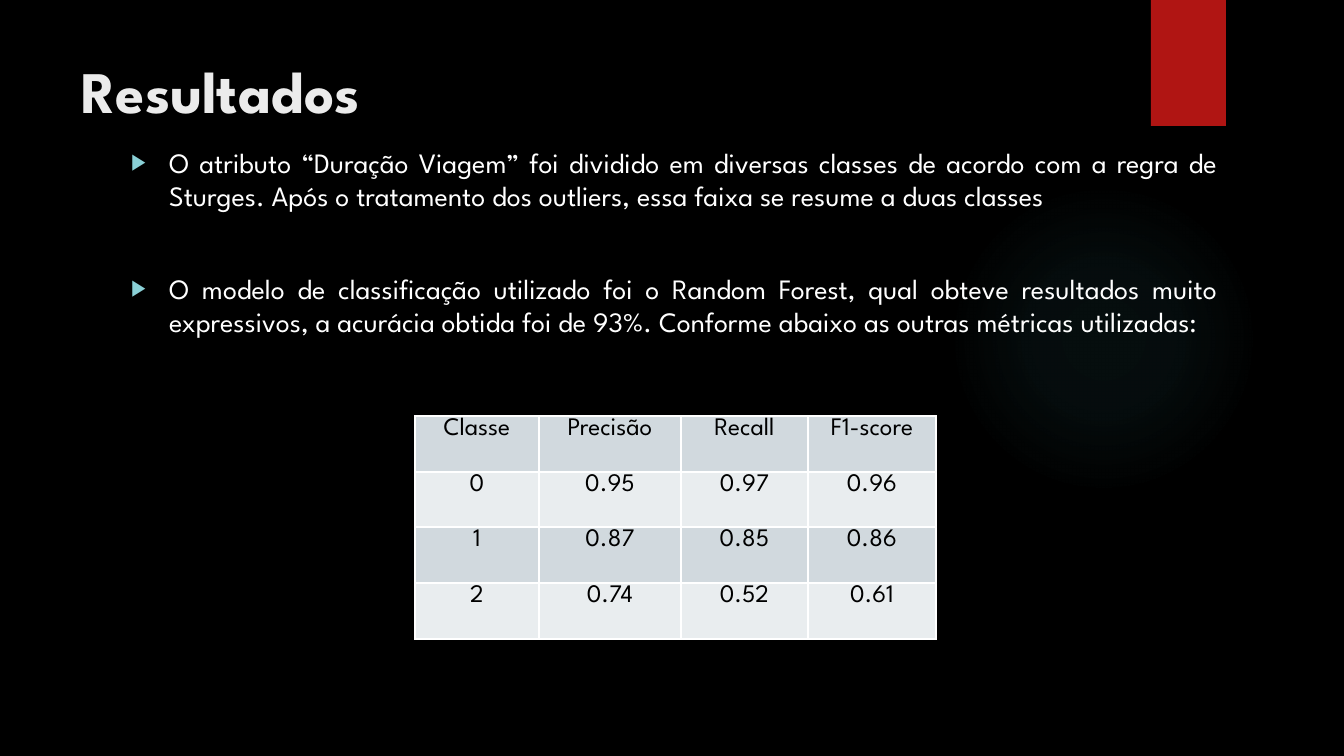
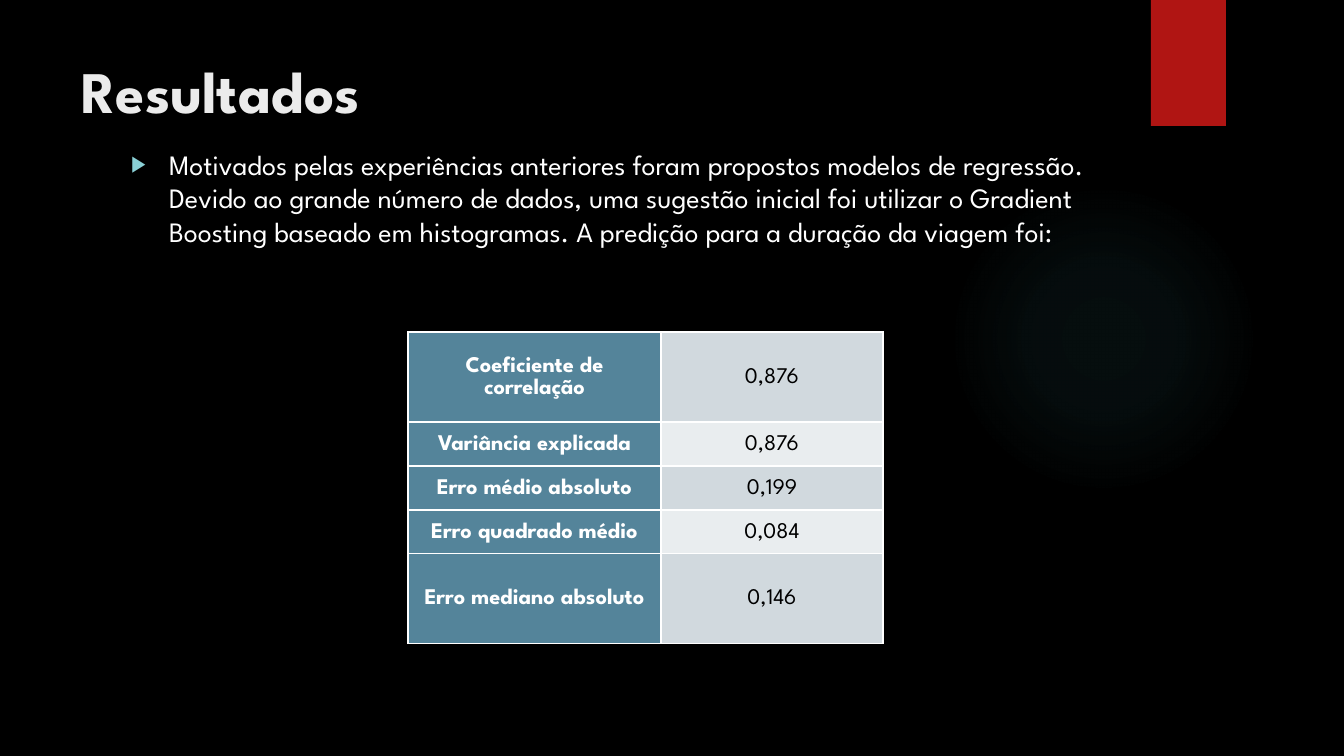
from pptx import Presentation
from pptx import util as u
from pptx.dml import color
from pptx.enum import shapes, text
from pptx.oxml import parse_xml
from pptx.oxml import ns

SCALE = 914400 / 100.8
FONT = "League Spartan"
BLACK, WHITE, TITLE = "000000", "FFFFFF", "EBEBEB"
RED, GLOW, BULLET = "B01513", "50B9C1", "8AD0D6"
HEADER, BANDS = "54849A", ("D1D9DE", "E9EDEF")


def px(value):
    return u.Emu(round(value * SCALE))


def rgb(value):
    return color.RGBColor.from_string(value)


def xml(tag, attributes="", content=""):
    return parse_xml(f"<a:{tag} {ns.nsdecls('a')} {attributes}>{content}</a:{tag}>")


def tint(value, opacity):
    return f'<a:srgbClr val="{value}"><a:alpha val="{opacity * 1000}"/></a:srgbClr>'


class Deck:
    def __init__(self):
        self.deck = Presentation()
        self.deck.slide_width, self.deck.slide_height = px(1344), px(756)
        self.layout = self.deck.slide_layouts[1]
        self.layout.background.fill.solid()
        self.layout.background.fill.fore_color.rgb = rgb(BLACK)
        self.page = None

    def add_page(self):
        self.page = self.deck.slides.add_slide(self.layout)

    def shared_shape(self, kind, left, top, width, height, fill):
        box = self.page.shapes.add_shape(kind, px(left), px(top), px(width), px(height))
        box.shadow.inherit = False
        box.fill.solid()
        box.fill.fore_color.rgb = rgb(fill)
        box.line.fill.background()
        self.layout.shapes.element.append(box.element)
        return box.element.spPr

    def glow(self, left, top, size):
        frame = self.shared_shape(shapes.MSO_SHAPE.OVAL, left, top, size, size, GLOW)
        stops = "".join(
            f'<a:gs pos="{place * 1000}">{tint(GLOW, opacity)}</a:gs>'
            for place, opacity in ((0, 7), (36, 6), (69, 0))
        )
        focus = '<a:fillToRect l="50000" t="50000" r="50000" b="50000"/>'
        gradient = xml("gradFill", 'rotWithShape="1"',
                       f'<a:gsLst>{stops}</a:gsLst><a:path path="circle">{focus}</a:path>')
        frame.replace(frame.find(ns.qn("a:solidFill")), gradient)

    def ribbon(self, left, top, width, height):
        frame = self.shared_shape(shapes.MSO_SHAPE.RECTANGLE, left, top, width, height, RED)
        frame.find(ns.qn("a:effectLst")).append(
            xml("outerShdw", f'blurRad="{u.Pt(3)}" dist="{u.Pt(2)}" dir="5400000" rotWithShape="0"',
                tint(BLACK, 45)))

    def span(self, para, words, size, fill, bold=False):
        span = para.add_run()
        span.text = words
        span.font.name, span.font.size, span.font.bold = FONT, u.Pt(size), bold
        span.font.color.rgb = rgb(fill)

    def place(self, box, left, top, width, height):
        box.left, box.top, box.width, box.height = px(left), px(top), px(width), px(height)
        frame = box.text_frame
        frame.word_wrap = True
        frame.auto_size = text.MSO_AUTO_SIZE.NONE
        frame.vertical_anchor = text.MSO_ANCHOR.TOP
        return frame

    def title(self, words):
        para = self.place(self.page.shapes.title, 71, 50, 1037, 154).paragraphs[0]
        para.alignment = text.PP_ALIGN.LEFT
        self.span(para, words, 42, TITLE, True)

    def bullets(self, items, top, width, align):
        frame = self.place(self.page.placeholders[1], 121, top, width, 688 - top)
        for index, words in enumerate(items):
            para = frame.add_paragraph() if index else frame.paragraphs[0]
            para.alignment = align
            para.space_before = u.Pt(42 if index else 10)
            marks = para._p.get_or_add_pPr()
            marks.set("marL", str(px(38)))
            marks.set("indent", str(px(-38)))
            marks.append(xml("buClr", "", f'<a:srgbClr val="{BULLET}"/>'))
            marks.append(xml("buSzPct", 'val="80000"'))
            marks.append(xml("buChar", 'char="▶"'))
            self.span(para, words, 20, WHITE)

    def cell(self, cell, words, size, fill, ink, bold, anchor, before, after):
        cell.margin_left = cell.margin_right = px(7)
        cell.margin_top = cell.margin_bottom = 0
        cell.vertical_anchor = anchor
        for side in "LRTB":
            cell._tc.get_or_add_tcPr().append(
                xml(f"ln{side}", f'w="{u.Pt(1)}"',
                    f'<a:solidFill><a:srgbClr val="{WHITE}"/></a:solidFill>'))
        cell.fill.solid()
        cell.fill.fore_color.rgb = rgb(fill)
        para = cell.text_frame.paragraphs[0]
        para.alignment = text.PP_ALIGN.CENTER
        para.line_spacing = 1.07
        para.space_before, para.space_after = u.Pt(before), u.Pt(after)
        self.span(para, words, size, ink, bold)

    def table(self, left, top, widths, heights, rows, size, anchor, before, after, headed=False):
        grid = self.page.shapes.add_table(
            len(rows), len(widths), px(left), px(top), px(sum(widths)), px(sum(heights))).table
        grid.first_row, grid.first_col = False, headed
        for column, width in zip(grid.columns, widths):
            column.width = px(width)
        for y, (row, height) in enumerate(zip(rows, heights)):
            grid.rows[y].height = px(height)
            for x, words in enumerate(row):
                head = headed and x == 0
                self.cell(grid.cell(y, x), words, size, HEADER if head else BANDS[y % 2],
                          WHITE if head else BLACK, head, anchor, before, after)


deck = Deck()

deck.add_page()
deck.glow(949, 184, 310)
deck.ribbon(1151, 0, 75, 126)
deck.title("Resultados")
deck.bullets([
    "O atributo “Duração Viagem” foi dividido em diversas classes de acordo com a regra de "
    "Sturges. Após o tratamento dos outliers, essa faixa se resume a duas classes",
    "O modelo de classificação utilizado foi o Random Forest, qual obteve resultados muito "
    "expressivos, a acurácia obtida foi de 93%. Conforme abaixo as outras métricas utilizadas:",
], 140, 1107, text.PP_ALIGN.JUSTIFY)
deck.table(415, 416, (124, 142, 127, 128), (56, 55, 56, 56), (
    ("Classe", "Precisão", "Recall", "F1-score"),
    ("0", "0.95", "0.97", "0.96"),
    ("1", "0.87", "0.85", "0.86"),
    ("2", "0.74", "0.52", "0.61"),
), 18, text.MSO_ANCHOR.TOP, 0, 6)

deck.add_page()
deck.title("Resultados")
deck.bullets([
    "Motivados pelas experiências anteriores foram propostos modelos de regressão. Devido ao "
    "grande número de dados, uma sugestão inicial foi utilizar o Gradient Boosting baseado em "
    "histogramas. A predição para a duração da viagem foi:",
], 142, 986, text.PP_ALIGN.LEFT)
deck.table(408, 332, (253, 222), (90, 44, 44, 44, 90), (
    ("Coeficiente de correlação", "0,876"),
    ("Variância explicada", "0,876"),
    ("Erro médio absoluto", "0,199"),
    ("Erro quadrado médio", "0,084"),
    ("Erro mediano absoluto", "0,146"),
), 16, text.MSO_ANCHOR.MIDDLE, 6, 8, headed=True)

deck.deck.save("out.pptx")
